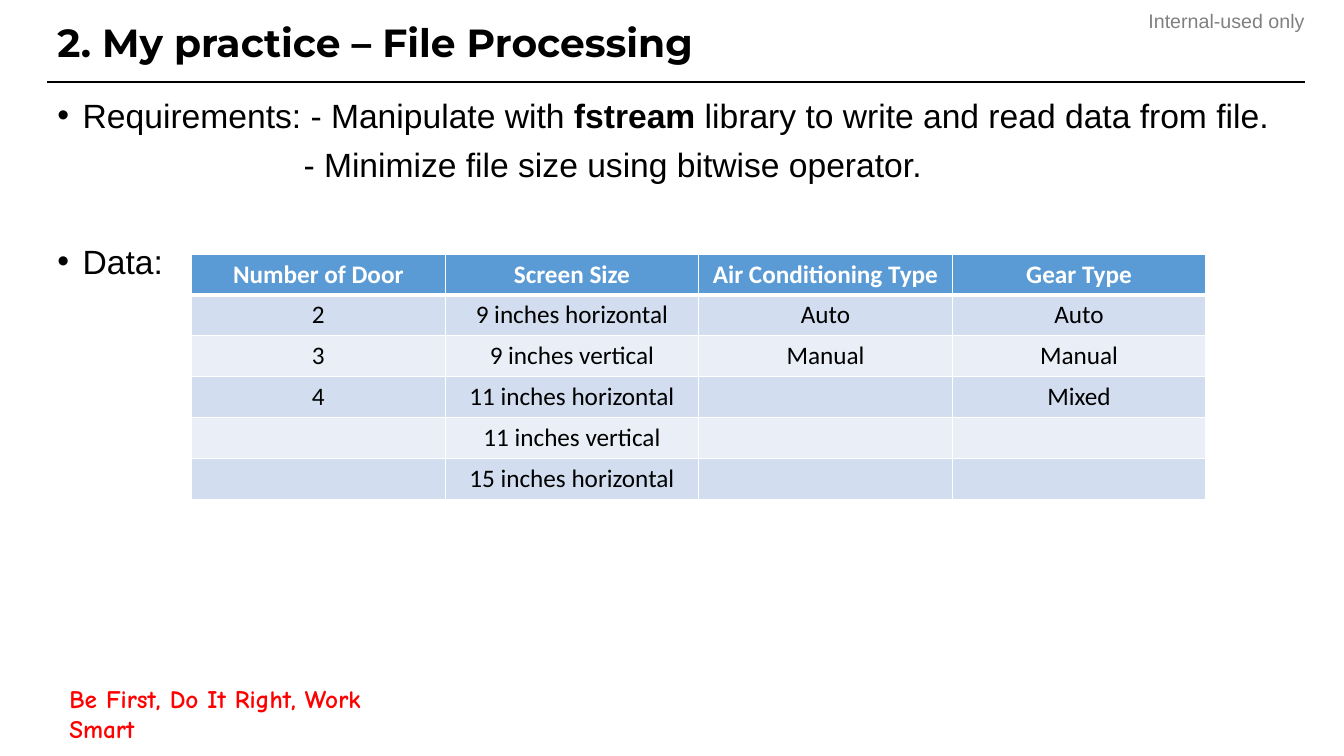
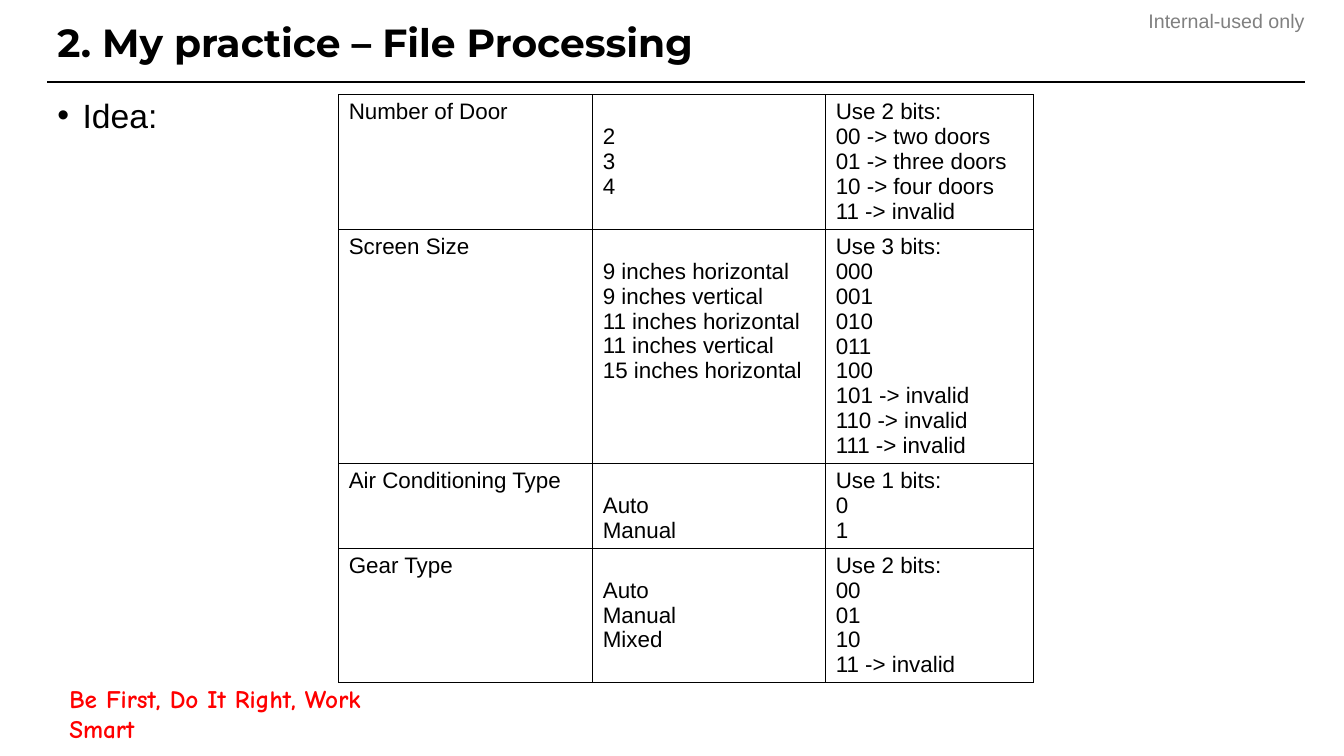
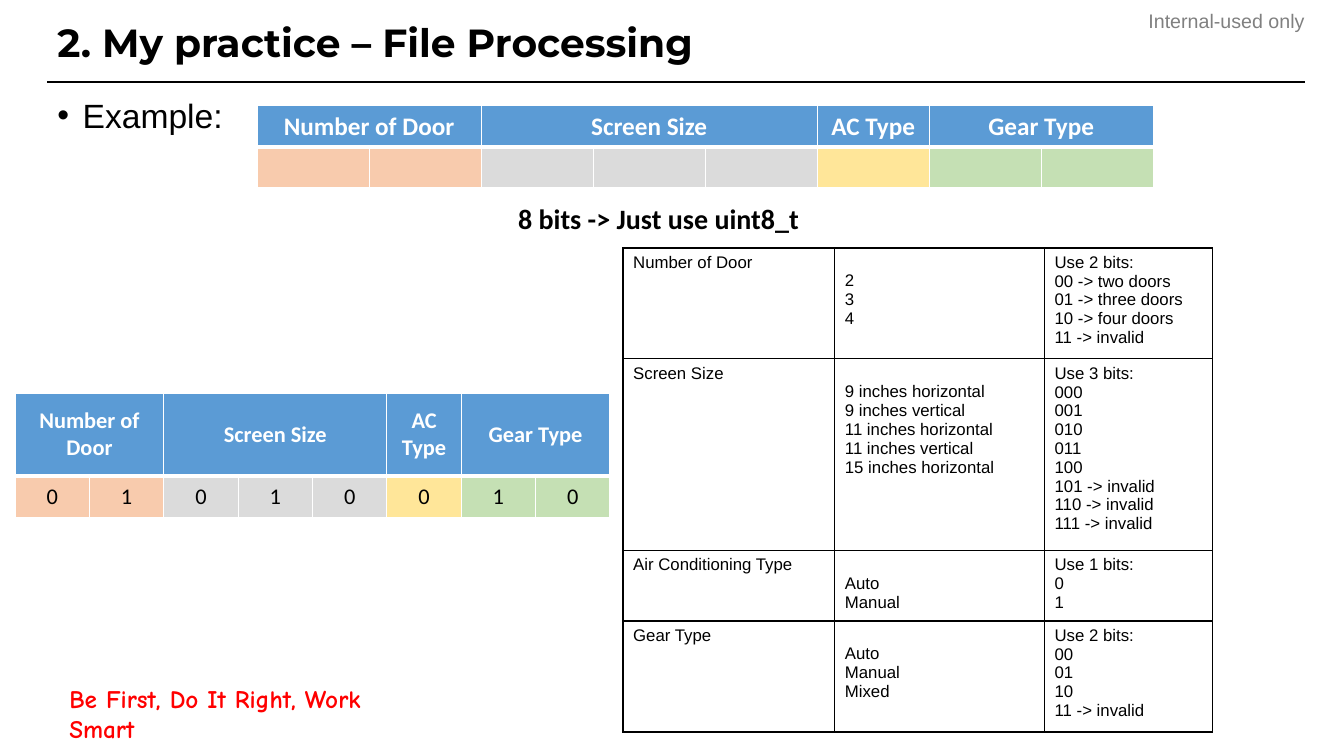
from lxml import etree
from pptx import Presentation
from pptx.dml.color import RGBColor
from pptx.enum.shapes import MSO_CONNECTOR
from pptx.enum.text import MSO_ANCHOR, PP_ALIGN
from pptx.oxml.ns import qn
from pptx.util import Inches, Pt

LEFT, CENTER, RIGHT = PP_ALIGN.LEFT, PP_ALIGN.CENTER, PP_ALIGN.RIGHT
TOP, MIDDLE = MSO_ANCHOR.TOP, MSO_ANCHOR.MIDDLE
STRAIGHT = MSO_CONNECTOR.STRAIGHT

BLACK, WHITE, GRAY, RED = "000000", "FFFFFF", "808080", "FF0000"
BLUE, BANDS = "5B9BD5", ("D2DEEF", "EAEFF7")
PEACH, SILVER, GOLD, GREEN = "F8CBAD", "DBDBDB", "FFE699", "C5E0B4"

TITLE = "2. My practice – File Processing"
TITLE_FONT = {"size": Pt(28), "name": "Montserrat", "bold": True}
BODY_FONT = {"size": Pt(24), "name": "Arial"}
TITLE_BOX = (0.47, 0.08, 12.47, 0.73)
BODY_BOX = (0.47, 0.89, 12.47, 5.79)
PAD = 0.05

OPTIONS = [
    ("Number of Door", "Screen Size", "Air Conditioning Type", "Gear Type"),
    ("2", "9 inches horizontal", "Auto", "Auto"),
    ("3", "9 inches vertical", "Manual", "Manual"),
    ("4", "11 inches horizontal", "", "Mixed"),
    ("", "11 inches vertical", "", ""),
    ("", "15 inches horizontal", "", ""),
]
CODES = [
    ["Use 2 bits:", "00 -> two doors", "01 -> three doors",
     "10 -> four doors", "11 -> invalid"],
    ["Use 3 bits:", "000", "001", "010", "011", "100",
     "101 -> invalid", "110 -> invalid", "111 -> invalid"],
    ["Use 1 bits:", "0", "1"],
    ["Use 2 bits:", "00", "01", "10", "11 -> invalid"],
]
FIELDS = [("Number of Door", 2, PEACH), ("Screen Size", 3, SILVER),
          ("AC Type", 1, GOLD), ("Gear Type", 2, GREEN)]


def rgb(code):
    return RGBColor.from_string(code)


def style(font, values, color=BLACK):
    for key, value in values.items():
        setattr(font, key, value)
    font.color.rgb = rgb(color)


def place(shape, box):
    for key, value in zip(("left", "top", "width", "height"), box):
        setattr(shape, key, Inches(value))


def label(slide, box, text, values, color=BLACK, align=LEFT, **frame):
    shape = slide.shapes.add_textbox(*map(Inches, box))
    for key, value in {"word_wrap": True, **frame}.items():
        setattr(shape.text_frame, key, value)
    para = shape.text_frame.paragraphs[0]
    para.alignment = align
    run = para.add_run()
    run.text = text
    style(run.font, values, color)
    return shape


def outline(run, color, width):
    line = etree.Element(qn("a:ln"), w=str(Pt(width)))
    fill = etree.SubElement(line, qn("a:solidFill"))
    etree.SubElement(fill, qn("a:srgbClr"), val=color)
    run.font._element.insert(0, line)


def set_layout(layout, slide):
    """Put the shared parts on the layout, drawing them by way of a slide."""
    place(layout.placeholders[0], TITLE_BOX)
    place(layout.placeholders[1], BODY_BOX)
    zero = dict.fromkeys(
        ("margin_left", "margin_top", "margin_right", "margin_bottom"), 0)
    note = label(slide, (10.63, 0.09, 2.31, 0.24), "Internal-used only",
                 {"size": Pt(14), "name": "Arial"}, GRAY, RIGHT, **zero)
    motto = label(slide, (0.59, 6.96, 3.57, 0.24),
                  "Be First, Do It Right, Work Smart",
                  {"size": Pt(18), "name": "Comic Neue", "bold": True}, RED,
                  vertical_anchor=MIDDLE)
    outline(motto.text_frame.paragraphs[0].runs[0], RED, 0.75)
    rule = slide.shapes.add_connector(
        STRAIGHT, *map(Inches, (0.47, 0.81, 12.94, 0.81)))
    rule.line.color.rgb = rgb(BLACK)
    rule.line.width = Pt(1.5)
    etree.SubElement(rule.element.spPr, qn("a:effectLst"))
    for shape in (note, motto, rule):
        layout.shapes.element.append(shape.element)


def set_title(slide):
    para = slide.shapes.title.text_frame.paragraphs[0]
    para.text = TITLE
    para.alignment = LEFT
    para.line_spacing = 0.9
    style(para.runs[0].font, TITLE_FONT)


def set_body(slide, items):
    """Fill the list; an item is (runs, indent or None for a bullet, gap)."""
    frame = slide.placeholders[1].text_frame
    for num, (runs, indent, gap) in enumerate(items):
        para = frame.add_paragraph() if num else frame.paragraphs[0]
        para.space_before = Pt(gap)
        for odd, text in enumerate(runs):
            run = para.add_run()
            run.text = text
            style(run.font, {**BODY_FONT, "bold": odd % 2 == 1})
        props = para._p.get_or_add_pPr()
        bullet = indent is None
        props.set("marL", str(Inches(0.25 if bullet else indent)))
        props.set("indent", str(Inches(-0.25 if bullet else 0)))
        if bullet:
            etree.SubElement(props, qn("a:buChar"), char="•")
        else:
            etree.SubElement(props, qn("a:buNone"))


def add_grid(slide, box, cols, rows):
    """Add a table whose columns and rows have the given lengths."""
    table = slide.shapes.add_table(
        len(rows), len(cols), *map(Inches, box)).table
    table.first_row = table.horz_banding = False
    for col, width in zip(table.columns, cols):
        col.width = Inches(width)
    for row, height in zip(table.rows, rows):
        row.height = Inches(height)
    return table


def set_border(cell, color, top=1, bottom=1):
    props = cell._tc.get_or_add_tcPr()
    sides = (("L", 1), ("R", 1), ("T", top), ("B", bottom))
    for num, (side, width) in enumerate(sides):
        line = etree.Element(qn("a:ln" + side), w=str(Pt(width)))
        fill = etree.SubElement(line, qn("a:solidFill"))
        etree.SubElement(fill, qn("a:srgbClr"), val=color)
        props.insert(num, line)


def set_cell(cell, lines, values, color=BLACK, align=LEFT, anchor=TOP):
    cell.vertical_anchor = anchor
    cell.text = "\n".join(lines)
    for para in cell.text_frame.paragraphs:
        para.alignment = align
        style(para.font, values)
        for run in para.runs:
            style(run.font, values, color)


def set_tile(cell, text, size, fill, row):
    """Format a cell of a coloured table, whose row 0 is the header."""
    head = row == 0
    cell.fill.solid()
    cell.fill.fore_color.rgb = rgb(BLUE if head else fill)
    set_border(cell, WHITE, 3 if row == 1 else 1, 3 if head else 1)
    set_cell(cell, [text], {"size": Pt(size), "name": "Calibri", "bold": head},
             WHITE if head else BLACK, CENTER, MIDDLE)


def option_table(slide, box):
    count, width = len(OPTIONS), len(OPTIONS[0])
    table = add_grid(slide, box, [box[2] / width] * width,
                     [box[3] / count] * count)
    for row, texts in enumerate(OPTIONS):
        for col, text in enumerate(texts):
            set_tile(table.cell(row, col), text, 18, BANDS[(row - 1) % 2], row)


def code_table(slide, box, cols, size):
    """List each field, its options and their codes, code beside option."""
    counts = [len(codes) for codes in CODES]
    step = (box[3] - 2 * PAD * len(counts)) / sum(counts)
    table = add_grid(slide, box, cols, [n * step + 2 * PAD for n in counts])
    values = {"size": Pt(size), "name": "Arial", "bold": False}
    for row, codes in enumerate(CODES):
        names = [line[row] for line in OPTIONS[1:] if line[row]]
        for col, lines in enumerate(([OPTIONS[0][row]], names, codes)):
            cell = table.cell(row, col)
            cell.fill.background()
            set_border(cell, BLACK)
            set_cell(cell, lines, values)
        table.cell(row, 1).margin_top = Inches(PAD + size * 1.11 / 72)


def bit_table(slide, box, rows, size, bits):
    total = sum(span for _, span, _ in FIELDS)
    table = add_grid(slide, box, [box[2] / total] * total, rows)
    start = 0
    for name, span, fill in FIELDS:
        for col in range(start, start + span):
            set_tile(table.cell(0, col), name if col == start else "",
                     size, fill, 0)
            set_tile(table.cell(1, col), bits[col], size, fill, 1)
        if span > 1:
            table.cell(0, start).merge(table.cell(0, start + span - 1))
        start += span


def data_slide(slide):
    set_body(slide, [
        (["Requirements: - Manipulate with ", "fstream",
          " library to write and read data from file."], None, 6),
        (["- Minimize file size using bitwise operator."], 2.44, 6),
        (["Data:"], None, 41),
    ])
    option_table(slide, (1.9, 2.52, 10.06, 2.43))


def idea_slide(slide):
    set_body(slide, [(["Idea:"], None, 6)])
    code_table(slide, (3.36, 0.94, 6.89, 5.83), (2.52, 2.31, 2.06), 16)


def example_slide(slide):
    set_body(slide, [(["Example:"], None, 6)])
    bit_table(slide, (2.55, 1.05, 8.89, 0.81), (0.41, 0.4), 18, [""] * 8)
    label(slide, (5.04, 1.95, 3.01, 0.44), "8 bits -> Just use uint8_t",
          {"size": Pt(20), "name": "Calibri", "bold": True}, word_wrap=False)
    bit_table(slide, (0.15, 3.9, 5.9, 1.24), (0.82, 0.42), 16, "01010010")
    code_table(slide, (6.18, 2.46, 5.85, 4.8), (2.1, 2.08, 1.67), 12)


def main():
    deck = Presentation()
    deck.slide_width, deck.slide_height = Inches(13.33), Inches(7.5)
    layout = deck.slide_layouts[1]
    for num, fill in enumerate((data_slide, idea_slide, example_slide)):
        slide = deck.slides.add_slide(layout)
        if num == 0:
            set_layout(layout, slide)
        set_title(slide)
        fill(slide)
    deck.save("out.pptx")


if __name__ == "__main__":
    main()
